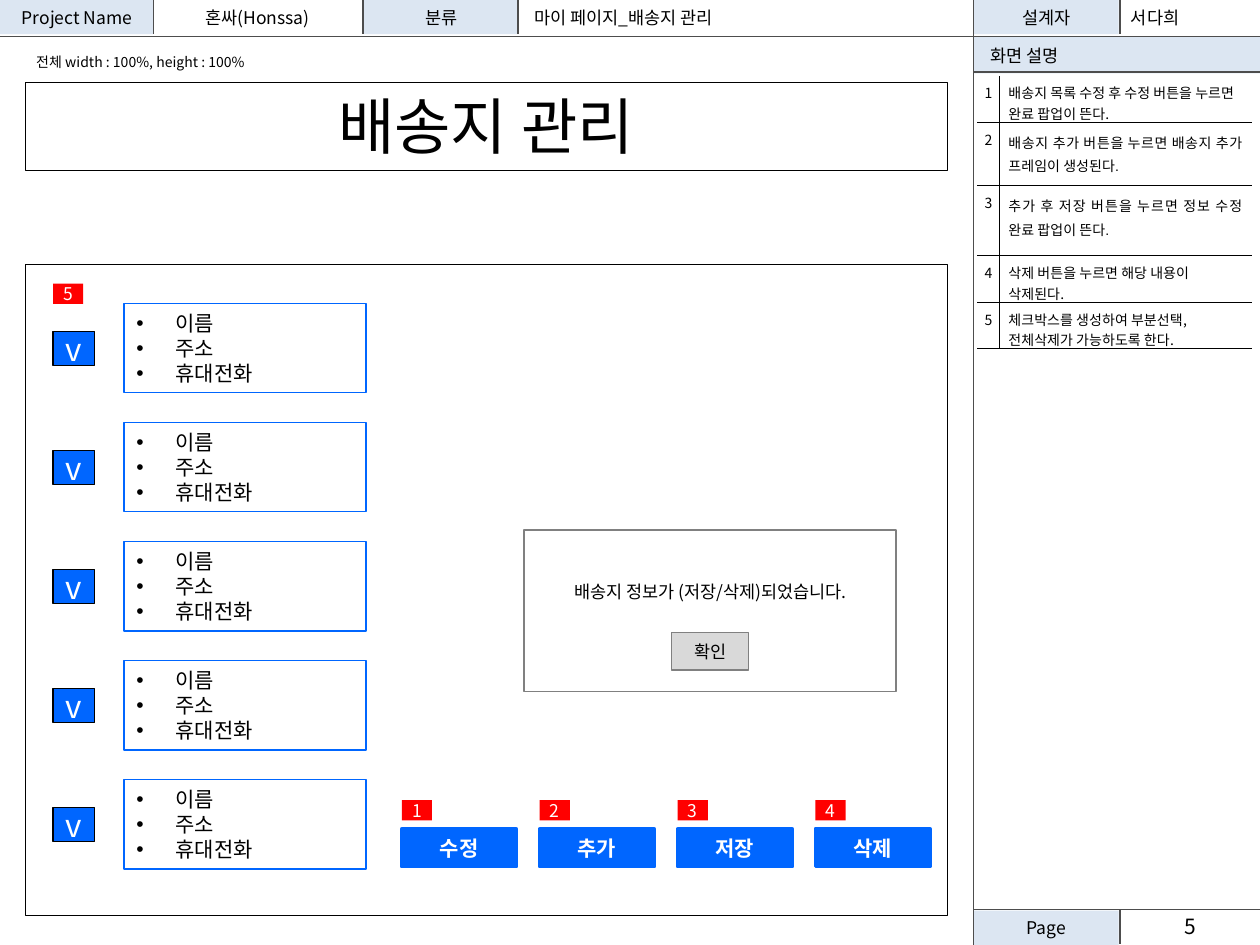
from dataclasses import dataclass
from typing import NamedTuple, Optional

from lxml.etree import SubElement
from pptx import Presentation
from pptx.dml.color import RGBColor
from pptx.enum.shapes import MSO_CONNECTOR as Connector, MSO_SHAPE as Shape
from pptx.enum.text import MSO_ANCHOR as Anchor, PP_ALIGN as Align
from pptx.oxml.ns import qn
from pptx.util import Cm, Pt


@dataclass(frozen=True)
class Theme:
    font: str = "Noto Sans CJK KR"
    alternate_font: str = "Arial"
    black: str = "000000"
    white: str = "FFFFFF"
    header: str = "DCE6F2"
    rule: str = "4D4D4D"
    blue: str = "0066FF"
    red: str = "FF0000"
    grey: str = "808080"
    light_grey: str = "D9D9D9"
    small: float = 8
    body: float = 10
    item: float = 12
    check: float = 18
    title: float = 35
    thin: float = 0.75


THEME = Theme()


class Box(NamedTuple):
    """Left, top, width and height in centimetres."""
    left: float
    top: float
    width: float
    height: float

    def lengths(self) -> list:
        return [Cm(value) for value in self]


@dataclass(frozen=True)
class Style:
    size: float = THEME.body
    color: str = THEME.black
    bold: bool = False
    align: Align = Align.CENTER
    anchor: Anchor = Anchor.MIDDLE
    bullet: Optional[str] = None
    font: str = THEME.font
    spacing: Optional[float] = None
    # left, top, right, bottom
    insets: tuple = (0.25, 0.13, 0.25, 0.13)


class Note(NamedTuple):
    text: str
    height: float
    style: Style


LEFT = Style(align=Align.LEFT)
BADGE = Style(color=THEME.white, insets=(0, 0, 0, 0))
CHECK = Style(size=THEME.check, color=THEME.white, insets=(0, 0, 0, 0))
BUTTON = Style(size=THEME.item, color=THEME.white, bold=True)
CARD = Style(size=THEME.item, align=Align.LEFT, bullet="•")
NUMBER = Style(size=THEME.small, anchor=Anchor.TOP, insets=(0.1, 0.13, 0.1, 0.13))
NOTE = Style(size=THEME.small, align=Align.LEFT, anchor=Anchor.TOP,
             insets=(0.18, 0.13, 0.18, 0.13))
WIDE_NOTE = Style(size=THEME.small, align=Align.JUSTIFY, anchor=Anchor.TOP, spacing=1.15,
                  font=THEME.alternate_font, insets=NOTE.insets)

HEADER_CELLS = (
    ("Project Name", Box(0, 0, 3.1, 0.69)),
    ("분류", Box(7.34, 0, 3.12, 0.69)),
    ("설계자", Box(19.63, 0, 2.92, 0.69)),
    ("Page", Box(19.63, 18.36, 2.92, 0.69)),
)
RULES = (
    (0, 0.74, 25.4, 0.74), (19.63, 1.45, 25.4, 1.45), (19.63, 18.34, 25.4, 18.34),
    (3.1, 0, 3.1, 0.69), (7.32, 0, 7.32, 0.69), (10.44, 0, 10.44, 0.69),
    (22.58, 0, 22.58, 0.69), (22.58, 18.34, 22.58, 19.02), (19.63, 0, 19.63, 19.05),
)
LABELS = (
    ("혼싸(Honssa)", Box(3.1, 0.03, 4.19, 0.64), Style()),
    ("서다희", Box(22.55, 0, 2.59, 0.69), LEFT),
    ("마이 페이지_배송지 관리", Box(10.52, 0, 7.59, 0.69), LEFT),
    ("배송지 관리", Box(0.5, 1.65, 18.6, 1.75), Style(size=THEME.title)),
    ("5", Box(22.58, 18.29, 2.84, 0.76), Style(size=THEME.item)),
    ("전체 width : 100%, height : 100%", Box(0.48, 0.94, 5.97, 0.94),
     Style(size=THEME.small, align=Align.LEFT, anchor=Anchor.TOP)),
)
NOTES = (
    Note("배송지 목록 수정 후 수정 버튼을 누르면 완료 팝업이 뜬다.", 0.91, NOTE),
    Note("배송지 추가 버튼을 누르면 배송지 추가 프레임이 생성된다.", 1.28, WIDE_NOTE),
    Note("추가 후 저장 버튼을 누르면 정보 수정 완료 팝업이 뜬다.", 1.41, WIDE_NOTE),
    Note("삭제 버튼을 누르면 해당 내용이 삭제된다.", 0.91, NOTE),
    Note("체크박스를 생성하여 부분선택, 전체삭제가 가능하도록 한다.", 0.91, NOTE),
)
NOTE_COLUMNS = (0.45, 5.08)
BUTTON_LABELS = ("수정", "추가", "저장", "삭제")
BUTTON_LEFT, BUTTON_PITCH = 8.1, 2.78
CARD_TEXT = "이름\n주소\n휴대전화"
CARD_COUNT, CARD_TOP, CARD_PITCH = 5, 6.12, 2.4


def write(frame, text: str, style: Style) -> None:
    frame.text = text
    for paragraph in frame.paragraphs:
        paragraph.alignment = style.align
        if style.spacing:
            paragraph.line_spacing = style.spacing
        if style.bullet:
            properties = paragraph._p.get_or_add_pPr()
            properties.set("marL", str(Cm(0.79)))
            properties.set("indent", str(-Cm(0.79)))
            SubElement(properties, qn("a:buFont"), typeface=THEME.alternate_font)
            SubElement(properties, qn("a:buChar"), char=style.bullet)
        font = paragraph.font
        font.size, font.bold, font.name = Pt(style.size), style.bold, style.font
        font.color.rgb = RGBColor.from_string(style.color)
        SubElement(font._element, qn("a:ea"), typeface=THEME.font)


def set_insets(target, style: Style) -> None:
    """Apply insets and anchor to a text frame or a table cell."""
    (target.margin_left, target.margin_top,
     target.margin_right, target.margin_bottom) = map(Cm, style.insets)
    target.vertical_anchor = style.anchor


def add_text(shape, text: str, style: Style) -> None:
    frame = shape.text_frame
    frame.word_wrap = True
    set_insets(frame, style)
    write(frame, text, style)


def add_box(slide, box: Box, fill: Optional[str] = None, line: Optional[str] = None,
            width: float = THEME.thin, text: str = "", style: Style = Style(),
            kind: Shape = Shape.RECTANGLE) -> None:
    shape = slide.shapes.add_shape(kind, *box.lengths())
    shape.shadow.inherit = False
    if fill:
        shape.fill.solid()
        shape.fill.fore_color.rgb = RGBColor.from_string(fill)
    else:
        shape.fill.background()
    if line:
        shape.line.color.rgb = RGBColor.from_string(line)
        shape.line.width = Pt(width)
    else:
        shape.line.fill.background()
    if text:
        add_text(shape, text, style)


def add_rule(slide, ends: tuple) -> None:
    connector = slide.shapes.add_connector(Connector.STRAIGHT, *map(Cm, ends))
    connector.line.color.rgb = RGBColor.from_string(THEME.rule)
    connector.line.width = Pt(THEME.thin)
    SubElement(connector._element.spPr, qn("a:effectLst"))


def add_border(cell, side: str, visible: bool) -> None:
    border = SubElement(cell._tc.get_or_add_tcPr(), qn(f"a:{side}"), w=str(Pt(THEME.thin)))
    if visible:
        fill = SubElement(border, qn("a:solidFill"))
        SubElement(fill, qn("a:srgbClr"), val=THEME.black)
    else:
        SubElement(border, qn("a:noFill"))


def add_notes(slide) -> None:
    box = Box(19.7, 1.53, sum(NOTE_COLUMNS), sum(note.height for note in NOTES))
    table = slide.shapes.add_table(len(NOTES), len(NOTE_COLUMNS), *box.lengths()).table
    table.first_row = table.horz_banding = False
    for column, width in zip(table.columns, NOTE_COLUMNS):
        column.width = Cm(width)
    for index, note in enumerate(NOTES):
        table.rows[index].height = Cm(note.height)
        contents = ((str(index + 1), NUMBER), (note.text, note.style))
        for column, (text, style) in enumerate(contents):
            cell = table.cell(index, column)
            set_insets(cell, style)
            write(cell.text_frame, text, style)
            visible = {"lnL": column == 1, "lnR": column == 0, "lnT": index > 0, "lnB": True}
            for side, shown in visible.items():
                add_border(cell, side, shown)
            cell.fill.background()


def add_badge(slide, number: int, left: float, top: float) -> None:
    add_box(slide, Box(left, top, 0.61, 0.41), THEME.red, text=str(number), style=BADGE)


def main() -> None:
    presentation = Presentation()
    presentation.slide_width, presentation.slide_height = Cm(25.4), Cm(19.05)
    slide = presentation.slides.add_slide(presentation.slide_layouts[6])

    for text, box in HEADER_CELLS:
        add_box(slide, box, THEME.header, text=text)
    add_box(slide, Box(19.63, 0.74, 5.77, 0.74), THEME.header, text="화면 설명",
            style=Style(align=Align.LEFT, insets=(0.33, 0.13, 0.25, 0.13)))
    for ends in RULES:
        add_rule(slide, ends)
    for top, height in ((1.65, 1.78), (5.33, 13.13)):
        add_box(slide, Box(0.5, top, 18.6, height), line=THEME.black, width=0.25,
                kind=Shape.FLOWCHART_PROCESS)
    for text, box, style in LABELS:
        add_text(slide.shapes.add_textbox(*box.lengths()), text, style)
    add_notes(slide)

    add_box(slide, Box(10.57, 10.69, 7.49, 3.25), THEME.white, THEME.grey, 1,
            "배송지 정보가 (저장/삭제)되었습니다.", Style(insets=(0.25, 0.13, 0.25, 0.89)))
    add_box(slide, Box(13.54, 12.75, 1.55, 0.76), THEME.light_grey, THEME.grey, 1, "확인")

    for index in range(CARD_COUNT):
        top = CARD_TOP + index * CARD_PITCH
        add_box(slide, Box(1.07, top + 0.56, 0.84, 0.69), THEME.blue, THEME.black,
                text="v", style=CHECK)
        add_box(slide, Box(2.5, top, 4.88, 1.8), line=THEME.blue, text=CARD_TEXT, style=CARD)
    for index, label in enumerate(BUTTON_LABELS):
        left = BUTTON_LEFT + index * BUTTON_PITCH
        add_box(slide, Box(left, 16.71, 2.31, 0.76), THEME.blue, THEME.blue, 2.25, label, BUTTON)
        add_badge(slide, index + 1, left, 16.13)
    add_badge(slide, 5, 1.07, 5.72)

    presentation.save("out.pptx")


if __name__ == "__main__":
    main()
